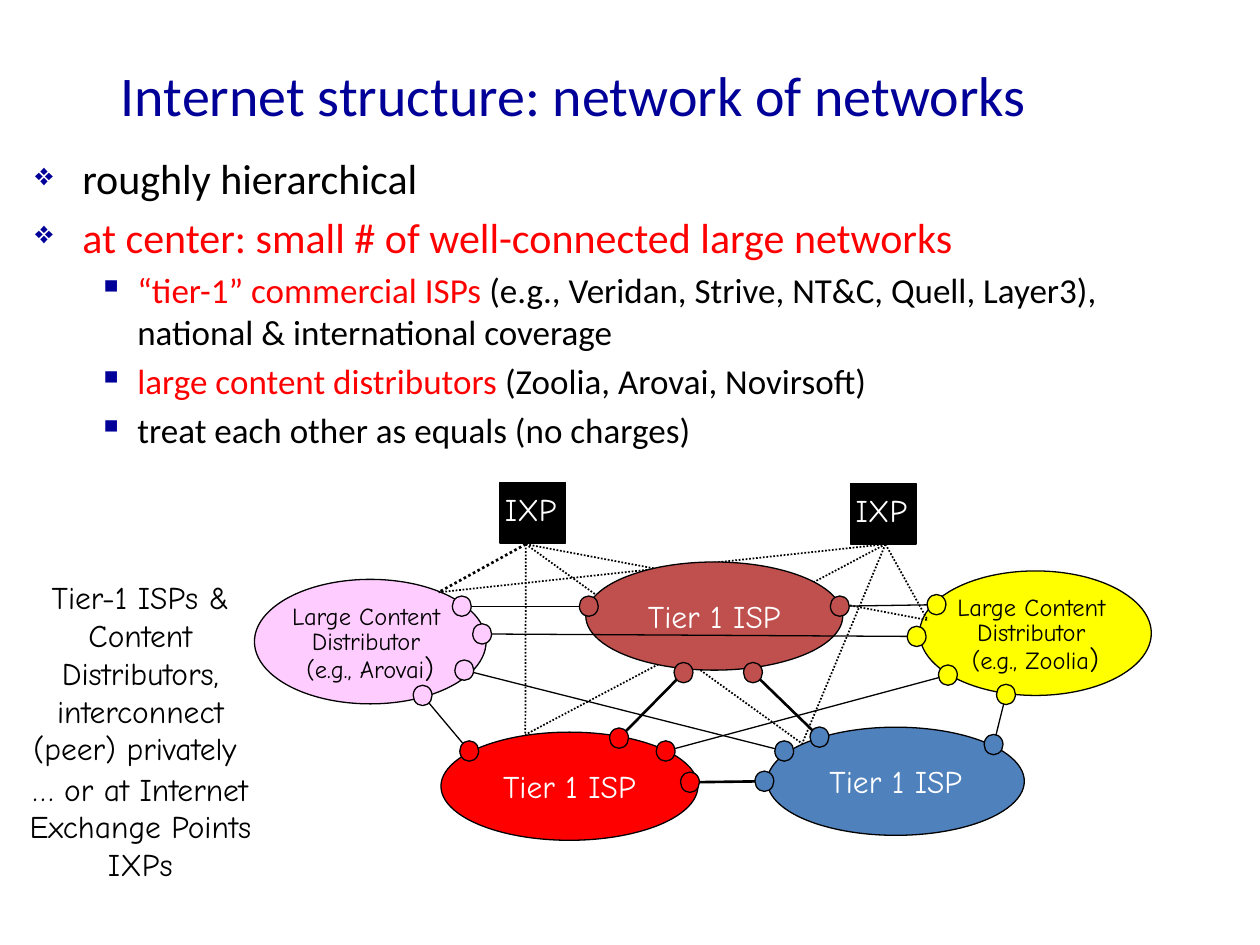
from itertools import product
from math import dist

from lxml.etree import SubElement
from pptx import Presentation
from pptx.dml.color import RGBColor
from pptx.enum.dml import MSO_LINE
from pptx.enum.shapes import MSO_CONNECTOR, MSO_SHAPE
from pptx.enum.text import MSO_ANCHOR as Anchor, MSO_AUTO_SIZE as AutoSize, PP_ALIGN as Align
from pptx.oxml.ns import qn
from pptx.util import Cm, Pt

NAVY, BLACK, WHITE, RED = "000099", "000000", "FFFFFF", "FF0000"
BODY_FONT, DIAGRAM_FONT = "Calibri", "Comic Neue"

TITLE = "Internet structure: network of networks"
POINTS = [
    (0, [("roughly hierarchical", BLACK)]),
    (0, [("at center: small # of well-connected large networks", RED)]),
    (1, [("“tier-1” commercial ISPs ", RED),
         ("(e.g., Veridan, Strive, NT&C, Quell, Layer3), national & international coverage", BLACK)]),
    (1, [("large content distributors", RED), (" (Zoolia, Arovai, Novirsoft)", BLACK)]),
    (1, [("treat each other as equals (no charges)", BLACK)]),
]
LEVELS = [
    dict(size=24, indent=0.95, hang=0.95, bullet="❖", percent=75),
    dict(size=20, indent=2.06, hang=0.79, bullet="▪", percent=100),
]

TIER_1, TIER_1_SIZE = "Tier 1 ISP", (5.18, 2.18)
DISTRIBUTOR_SIZE = (4.67, 2.51)
PORT_SIZE = (0.38, 0.41)
IXP_SIZE = (1.32, 1.22)

COLORS = dict(left="FF0000", right="4F81BD", center="C0504D", zoolia="FFFF00", arovai="FFCCFF")
LOWER_ISPS = [("left", 8.89, 14.76), ("right", 15.47, 14.66)]
CENTER_ISP = ("center", 11.81, 11.33)
DISTRIBUTORS = [("zoolia", "Zoolia", 18.54, 11.51), ("arovai", "Arovai", 5.13, 11.68)]
IXPS = [(10.08, 9.73), (17.15, 9.75)]
IXP_EXITS = [(10.6, 10.97), (17.85, 10.97)]
IXP_MEMBERS = [(8.84, 11.94), (18.7, 12.5), (10.59, 14.81), (16.17, 14.99)]

LINKS = [
    (("left", 13.42, 15.14), ("zoolia", 19.11, 13.61), 0.75),
    (("left", 13.91, 15.77), ("right", 15.41, 15.75), 1.5),
    (("center", 15.18, 13.56), ("right", 16.52, 14.86), 1.5),
    (("left", 12.48, 14.88), ("center", 13.78, 13.56), 1.5),
    (("center", 16.93, 12.22), ("zoolia", 18.88, 12.19), 0.75),
    (("center", 11.87, 12.22), ("arovai", 9.31, 12.22), 0.75),
    (("arovai", 9.36, 13.51), ("right", 15.81, 15.14), 0.75),
    (("zoolia", 20.28, 14.0), ("right", 20.03, 15.01), 0.75),
    (("arovai", 8.52, 14.02), ("left", 9.46, 15.14), 0.75),
    (("arovai", 9.72, 12.78), ("zoolia", 18.48, 12.83), 0.75),
]
CAPTIONS = [
    (11.53, 4.06, ["Tier-1 ISPs &", "Content Distributors, interconnect (peer) privately "]),
    (15.39, 2.54, ["… or at Internet Exchange Points IXPs"]),
]

prs = Presentation()
prs.slide_width, prs.slide_height = Cm(25.4), Cm(19.05)
slide = prs.slides.add_slide(prs.slide_layouts[6])


def rgb(value):
    return RGBColor.from_string(value)


def write(paragraph, text, font=DIAGRAM_FONT, size=18, color=BLACK, align=None, spacing=None):
    run = paragraph.add_run()
    run.text = text
    run.font.name, run.font.size = font, Pt(size)
    run.font.color.rgb = rgb(color)
    if align is not None:
        paragraph.alignment = align
    if spacing is not None:
        paragraph.line_spacing = spacing


def text_frame(left, top, width, height, wrap=True, anchor=Anchor.TOP, grow=False):
    frame = slide.shapes.add_textbox(Cm(left), Cm(top), Cm(width), Cm(height)).text_frame
    frame.word_wrap, frame.vertical_anchor = wrap, anchor
    frame.auto_size = AutoSize.SHAPE_TO_FIT_TEXT if grow else AutoSize.NONE
    return frame


def next_paragraph(frame, index):
    return frame.add_paragraph() if index else frame.paragraphs[0]


def add_bullet(paragraph, indent, hang, bullet, percent):
    props = paragraph._p.get_or_add_pPr()
    props.set("marL", str(Cm(indent)))
    props.set("indent", str(-Cm(hang)))
    SubElement(SubElement(props, qn("a:spcBef")), qn("a:spcPct"), val="20000")
    SubElement(SubElement(props, qn("a:buClr")), qn("a:srgbClr"), val=NAVY)
    SubElement(props, qn("a:buSzPct"), val=str(percent * 1000))
    SubElement(props, qn("a:buChar"), char=bullet)


def add_solid(kind, left, top, size, color):
    solid = slide.shapes.add_shape(kind, Cm(left), Cm(top), *map(Cm, size))
    solid.shadow.inherit = False
    solid.fill.solid()
    solid.fill.fore_color.rgb = rgb(color)
    solid.line.color.rgb = rgb(BLACK)
    solid.line.width = Pt(0.75)
    return solid


def add_line(start, end, width, dash=None):
    line = slide.shapes.add_connector(MSO_CONNECTOR.STRAIGHT, *map(Cm, (*start, *end)))
    line.line.color.rgb = rgb(BLACK)
    line.line.width = Pt(width)
    if dash is not None:
        line.line.dash_style = dash
    SubElement(line._element.spPr, qn("a:effectLst"))


def add_tier_1(network, left, top):
    isp = add_solid(MSO_SHAPE.OVAL, left, top, TIER_1_SIZE, COLORS[network])
    isp.text_frame.word_wrap = False
    isp.text_frame.vertical_anchor = Anchor.MIDDLE
    write(isp.text_frame.paragraphs[0], TIER_1, color=WHITE, align=Align.CENTER)


def add_distributor(network, company, left, top):
    add_solid(MSO_SHAPE.OVAL, left, top, DISTRIBUTOR_SIZE, COLORS[network])
    frame = text_frame(left + 0.38, top + 0.4, 3.91, 1.83, wrap=False, grow=True)
    for index, label in enumerate(["Large Content ", "Distributor ", f"(e.g., {company}"]):
        paragraph = next_paragraph(frame, index)
        write(paragraph, label, size=14, align=Align.CENTER, spacing=0.85)
    write(paragraph, ")", size=16)


def add_ixp(left, top):
    add_solid(MSO_SHAPE.RECTANGLE, left, top, IXP_SIZE, BLACK)
    frame = text_frame(left - 0.15, top + 0.03, 1.65, 1.02, grow=True)
    write(frame.paragraphs[0], "IXP", color=WHITE)


def toward(start, end, length):
    share = length / dist(start, end)
    return tuple(a + (b - a) * share for a, b in zip(start, end))


def add_link(start, end, width):
    trim = PORT_SIZE[0] / 2 if width > 1 else 0
    add_line(toward(start, end, trim), toward(end, start, trim), width)


def add_port(network, x, y):
    width, height = PORT_SIZE
    add_solid(MSO_SHAPE.OVAL, x - width / 2, y - height / 2, PORT_SIZE, COLORS[network])


heading = text_frame(0.33, 0.3, 22.48, 3.18, anchor=Anchor.MIDDLE)
write(heading.paragraphs[0], TITLE, font=BODY_FONT, size=32, color=NAVY, align=Align.CENTER)

body = text_frame(0.46, 2.95, 23.44, 12.9)
for index, (level, pieces) in enumerate(POINTS):
    point = next_paragraph(body, index)
    point.level = level
    style = dict(LEVELS[level])
    size = style.pop("size")
    add_bullet(point, **style)
    for piece, color in pieces:
        write(point, piece, font=BODY_FONT, size=size, color=color)

for isp in LOWER_ISPS:
    add_tier_1(*isp)
for distributor in DISTRIBUTORS:
    add_distributor(*distributor)
for ixp in IXPS:
    add_ixp(*ixp)
for index, (ixp_exit, member) in enumerate(product(IXP_EXITS, IXP_MEMBERS)):
    add_line(ixp_exit, member, 1 if index else 1.5, MSO_LINE.ROUND_DOT)
add_tier_1(*CENTER_ISP)

for (_, *start), (_, *end), width in LINKS:
    add_link(start, end, width)
for *ports, _ in LINKS:
    for port in ports:
        add_port(*port)

for top, height, lines in CAPTIONS:
    caption = text_frame(0, top, 5.66, height, grow=True)
    for index, line in enumerate(lines):
        write(next_paragraph(caption, index), line, align=Align.CENTER)

prs.save("out.pptx")
